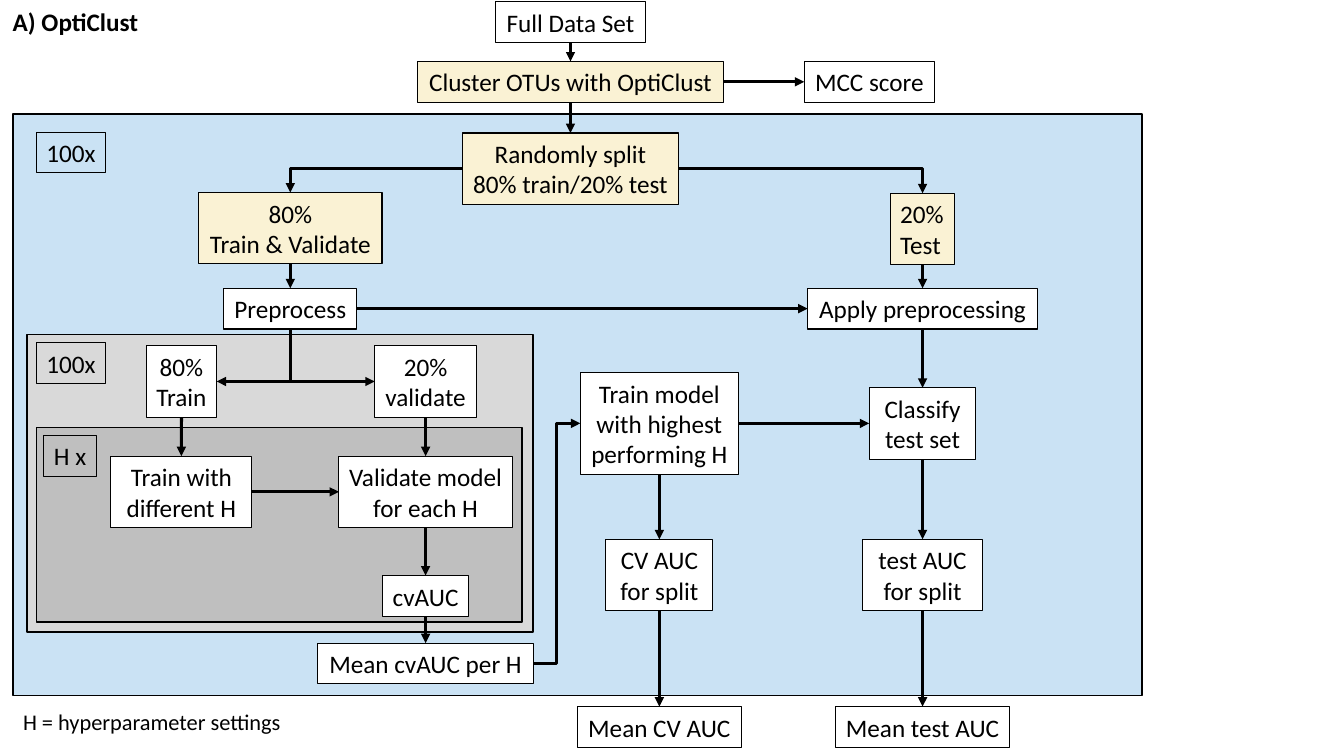
from dataclasses import dataclass

from lxml.etree import SubElement
from pptx import Presentation
from pptx.dml.color import RGBColor as RGB
from pptx.enum.shapes import MSO_CONNECTOR as CXN, MSO_SHAPE as SHAPE
from pptx.enum.text import MSO_ANCHOR, MSO_AUTO_SIZE, PP_ALIGN
from pptx.oxml.ns import qn
from pptx.util import Pt

TOP, LEFT, BOTTOM, RIGHT = range(4)


@dataclass(frozen=True)
class Theme:
    """Colours, type and line sizes of the flow chart."""
    font: str = "Calibri"
    body: float = 18
    note: float = 16
    ink: RGB = RGB(0, 0, 0)
    white: RGB = RGB(255, 255, 255)
    cream: RGB = RGB(0xFA, 0xF2, 0xD4)
    blue: RGB = RGB(0x9A, 0xC9, 0xEB)
    light: RGB = RGB(0xD9, 0xD9, 0xD9)
    grey: RGB = RGB(0xBF, 0xBF, 0xBF)
    box_line: float = 0.75
    panel_line: float = 1
    arrow_line: float = 2.25
    line_height: float = 21.9
    padding: float = 7.2


T = Theme()


def set_all(obj, values):
    """Set each named attribute of an object."""
    for name, value in values.items():
        setattr(obj, name, value)


def write(sp, text, size=T.body, align=PP_ALIGN.CENTER, wrap=False, bold=False):
    """Write one paragraph per line of text."""
    tf = sp.text_frame
    tf.text = text
    set_all(tf, dict(word_wrap=wrap, auto_size=MSO_AUTO_SIZE.SHAPE_TO_FIT_TEXT,
                     vertical_anchor=MSO_ANCHOR.MIDDLE))
    for p in tf.paragraphs:
        p.alignment = align
        set_all(p.runs[0].font, dict(name=T.font, size=Pt(size), bold=bold))
        p.runs[0].font.color.rgb = T.ink


def rect(s, x, y, w, h, fill, weight):
    """Draw an outlined rectangle, hollow if fill is None."""
    sp = s.shapes.add_shape(SHAPE.RECTANGLE, Pt(x), Pt(y), Pt(w), Pt(h))
    sp.shadow.inherit = False
    if fill is None:
        sp.fill.background()
    else:
        sp.fill.solid()
        sp.fill.fore_color.rgb = fill
    sp.line.color.rgb = T.ink
    sp.line.width = Pt(weight)
    return sp


def panel(s, box, fill, opacity=100):
    """Draw the background of a loop."""
    sp = rect(s, *box, fill, T.panel_line)
    if opacity < 100:
        color = sp.fill._xPr.find(qn("a:solidFill"))[0]
        SubElement(color, qn("a:alpha")).set("val", str(opacity * 1000))


def step(s, box, cx, top, w, text, fill=T.white, lines=0, align=PP_ALIGN.CENTER):
    """Place a step by centre and top in its region; lines makes it wrap."""
    rows = lines or text.count("\n") + 1
    h = T.padding + rows * T.line_height
    sp = rect(s, box[0] + cx - w / 2, box[1] + top, w, h, fill, T.box_line)
    write(sp, text, align=align, wrap=lines > 0)
    return sp


def caption(s, box, x, y, w, h, text, **fmt):
    """Place free text in its region."""
    sp = s.shapes.add_textbox(Pt(box[0] + x), Pt(box[1] + y), Pt(w), Pt(h))
    write(sp, text, align=PP_ALIGN.LEFT, **fmt)


def arrow(s, start, side, end, end_side, preset=None, tip="a:tailEnd"):
    """Join two steps with an arrow, bent if a preset is named."""
    c = s.shapes.add_connector(CXN.ELBOW if preset else CXN.STRAIGHT, 0, 0, 0, 0)
    c.begin_connect(start, side)
    c.end_connect(end, end_side)
    c.line.color.rgb = T.ink
    c.line.width = Pt(T.arrow_line)
    spPr = c._element.spPr
    if preset:
        spPr.find(qn("a:prstGeom")).set("prst", preset)
    SubElement(spPr.find(qn("a:ln")), qn(tip)).set("type", "triangle")
    SubElement(spPr, qn("a:effectLst"))


def header(s, box):
    """Place the title and the clustering steps."""
    caption(s, box, 2, 0.7, 105, 29.1, "A) OptiClust", bold=True)
    return dict(
        data=step(s, box, 407.5, 1.4, 106.6, "Full Data Set"),
        cluster=step(s, box, 407.5, 43.9, 218.9, "Cluster OTUs with OptiClust", T.cream),
        mcc=step(s, box, 621, 43.9, 92.9, "MCC score"))


def split_loop(s, box):
    """Place the outer loop over data splits."""
    panel(s, box, T.blue, 52)
    step(s, box, 41.4, 12.9, 49.7, "100x", None)
    train, cv, test = 198, 461.6, 649.6
    return dict(
        split=step(s, box, 398.1, 13.6, 154.8, "Randomly split\n80% train/20% test", T.cream),
        train_set=step(s, box, train, 56.1, 131, "80%\nTrain & Validate", T.cream),
        test_set=step(s, box, test, 56.6, 46.1, "20%\nTest", T.cream, align=PP_ALIGN.LEFT),
        prep=step(s, box, train, 124.5, 95, "Preprocess"),
        apply=step(s, box, test, 124.5, 164.2, "Apply preprocessing"),
        best=step(s, box, cv, 184.6, 113, "Train model with highest performing H", lines=3),
        classify=step(s, box, test, 195.55, 76.3, "Classify test set", lines=2),
        cv_auc=step(s, box, cv, 303.8, 76.3, "CV AUC for split", lines=2),
        test_auc=step(s, box, test, 303.8, 85.7, "test AUC for split", lines=2))


def validation_loop(s, box):
    """Place the inner loop over validation splits."""
    panel(s, box, T.light)
    step(s, box, 31.4, 5.8, 49.7, "100x", None)
    return dict(
        inner_train=step(s, box, 110.2, 8, 50.4, "80%\nTrain"),
        inner_val=step(s, box, 284.6, 8, 72.7, "20%\nvalidate"),
        mean_h=step(s, box, 284.6, 220.4, 154.1, "Mean cvAUC per H"))


def setting_loop(s, box):
    """Place the loop over hyperparameter settings."""
    panel(s, box, T.grey)
    step(s, box, 24.2, 5.7, 38.2, "H x", None)
    return dict(
        fit=step(s, box, 103.7, 20.5, 100.8, "Train with different H", lines=2),
        check=step(s, box, 278.1, 20.5, 123.8, "Validate model for each H", lines=2),
        cvauc=step(s, box, 278.1, 105.8, 61.9, "cvAUC"))


def results(s, box):
    """Place the note and the mean scores below the loops."""
    caption(s, box, 0, 4.9, 201.6, 26.7, "H = hyperparameter settings", size=T.note)
    return dict(
        mean_cv=step(s, box, 461.6, 7.7, 117.4, "Mean CV AUC"),
        mean_test=step(s, box, 649.6, 7.7, 123.8, "Mean test AUC"))


def flow(s, n):
    """Draw the arrows between the named steps."""
    chains = ("data cluster split", "train_set prep",
              "test_set apply classify test_auc mean_test",
              "best cv_auc mean_cv", "inner_train fit",
              "inner_val check cvauc mean_h")
    for chain in map(str.split, chains):
        for a, b in zip(chain, chain[1:]):
            arrow(s, n[a], BOTTOM, n[b], TOP)
    for a, b in (("cluster", "mcc"), ("prep", "apply"),
                 ("best", "classify"), ("fit", "check")):
        arrow(s, n[a], RIGHT, n[b], LEFT)
    for side, name in ((LEFT, "train_set"), (RIGHT, "test_set")):
        arrow(s, n["split"], side, n[name], TOP, "bentConnector2")
    for name, side in (("inner_train", RIGHT), ("inner_val", LEFT)):
        arrow(s, n[name], side, n["prep"], BOTTOM, "bentConnector2", "a:headEnd")
    arrow(s, n["mean_h"], RIGHT, n["best"], LEFT, "bentConnector3")


def main():
    """Build and save the slide."""
    prs = Presentation()
    set_all(prs, dict(slide_width=Pt(960), slide_height=Pt(540)))
    s = prs.slides.add_slide(prs.slide_layouts[6])
    regions = ((split_loop, (9.4, 81.4, 806.4, 415.4)),
               (validation_loop, (19.4, 239, 361.4, 212.4)),
               (setting_loop, (25.9, 305.3, 347, 139)),
               (header, (0, 0, 960, 81.4)),
               (results, (9.4, 497, 806.4, 43)))
    steps = {}
    for place, box in regions:
        steps.update(place(s, box))
    flow(s, steps)
    prs.save("out.pptx")


if __name__ == "__main__":
    main()
